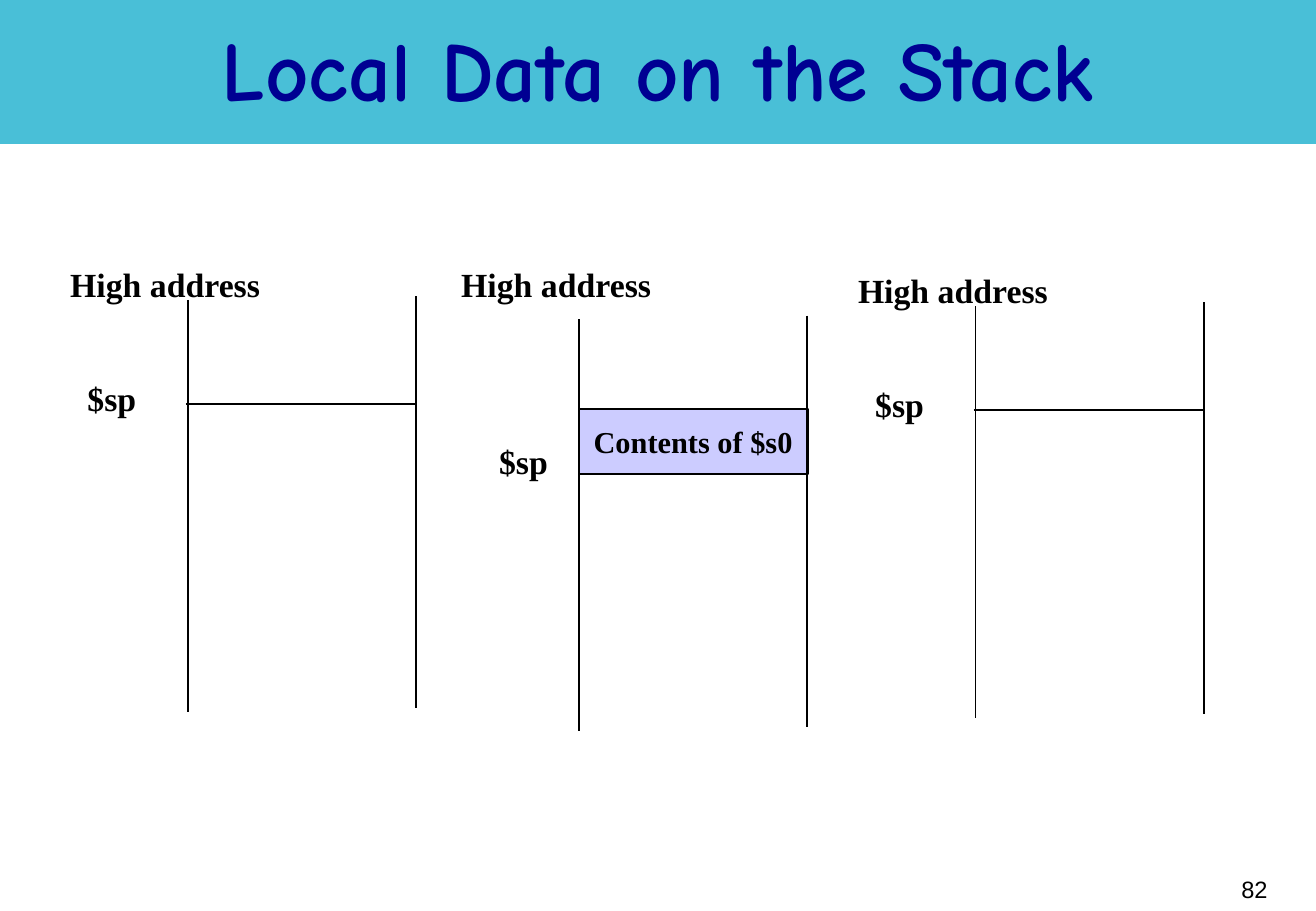
from lxml import etree
from pptx import Presentation
from pptx.dml.color import RGBColor
from pptx.enum.shapes import MSO_CONNECTOR as Connector, MSO_SHAPE as Shape
from pptx.enum.text import MSO_ANCHOR as Anchor, MSO_AUTO_SIZE as AutoSize, PP_ALIGN as Align
from pptx.oxml.ns import qn
from pptx.util import Cm, Pt

COLOURS = {"banner": "49BFD7", "title": "000092", "ink": "000000", "saved": "CCCCFF"}
LABEL = {"name": "Times New Roman", "size": Pt(20), "bold": True}
SAVED = {**LABEL, "size": Pt(18)}
TITLE = {"name": "Comic Neue", "size": Pt(50), "bold": True}
NUMBER = {"name": "Arial", "size": Pt(14)}


def colour(name):
    return RGBColor.from_string(COLOURS[name])


def write(box, text, style, ink="ink", align=Align.LEFT, anchor=Anchor.TOP, wrap=False):
    frame = box.text_frame
    frame.word_wrap = wrap
    frame.vertical_anchor = anchor
    para = frame.paragraphs[0]
    para.alignment = align
    span = para.add_run()
    span.text = text
    for key, value in style.items():
        setattr(span.font, key, value)
    span.font.color.rgb = colour(ink)
    return para


def add_label(shapes, left, top, width, text):
    box = shapes.add_textbox(Cm(left), Cm(top), Cm(width), Cm(1.12))
    write(box, text, LABEL)
    box.text_frame.auto_size = AutoSize.SHAPE_TO_FIT_TEXT


def add_line(shapes, x1, y1, x2, y2):
    line = shapes.add_connector(Connector.STRAIGHT, Cm(x1), Cm(y1), Cm(x2), Cm(y2))
    line.line.color.rgb = colour("ink")
    line.line.width = Pt(1)
    etree.SubElement(line._element.spPr, qn("a:effectLst"))


def add_rectangle(shapes, left, top, width, height, fill):
    box = shapes.add_shape(Shape.RECTANGLE, Cm(left), Cm(top), Cm(width), Cm(height))
    box.shadow.inherit = False
    box.fill.solid()
    box.fill.fore_color.rgb = colour(fill)
    return box


def add_header(page, width, height):
    add_rectangle(page.shapes, 0, 0, width, height, "banner").line.fill.background()
    title = page.shapes.add_textbox(Cm(2.07), Cm(0.33), Cm(23.39), Cm(2.51))
    para = write(title, "Local Data on the Stack", TITLE, "title",
                 Align.CENTER, Anchor.MIDDLE, True)
    para.line_spacing = 0.85


def add_stack(shapes, left, top, wall_drop=0.88, pointer=(0.36, 2.39), saved=None):
    """Draw one stack; saved is the text of a pushed word, if there is one."""
    if saved:
        word = add_rectangle(shapes, left + 2.7, top + 3.17, 4.8, 1.35, "saved")
        word.line.color.rgb = colour("ink")
        word.line.width = Pt(1)
        write(word, saved, SAVED, align=Align.CENTER, anchor=Anchor.MIDDLE)
    for across, rise in ((2.71, 0), (7.48, 0.08)):
        wall_top = top + wall_drop - rise
        add_line(shapes, left + across, wall_top, left + across, wall_top + 8.61)
    add_label(shapes, left, top, 4.5, "High address")
    if not saved:
        add_line(shapes, left + 2.67, top + 3.06, left + 7.5, top + 3.06)
    add_label(shapes, left + pointer[0], top + pointer[1], 1.6, "$sp")


def add_page_number(page, left, top, width, height):
    box = page.shapes.add_textbox(Cm(left), Cm(top), Cm(width), Cm(height))
    write(box, "82", NUMBER, align=Align.RIGHT, anchor=Anchor.MIDDLE)


def main():
    deck = Presentation()
    deck.slide_width, deck.slide_height = Cm(27.53), Cm(19.05)
    page = deck.slides.add_slide(deck.slide_layouts[6])
    add_header(page, 27.53, 3.01)
    add_stack(page.shapes.add_group_shape().shapes, 1.22, 5.39)
    add_stack(page.shapes, 9.4, 5.39, 1.29, (0.79, 3.7), "Contents of $s0")
    add_stack(page.shapes.add_group_shape().shapes, 17.7, 5.52)
    add_page_number(page, 21.03, 17.96, 5.74, 1.27)
    deck.save("out.pptx")


if __name__ == "__main__":
    main()
